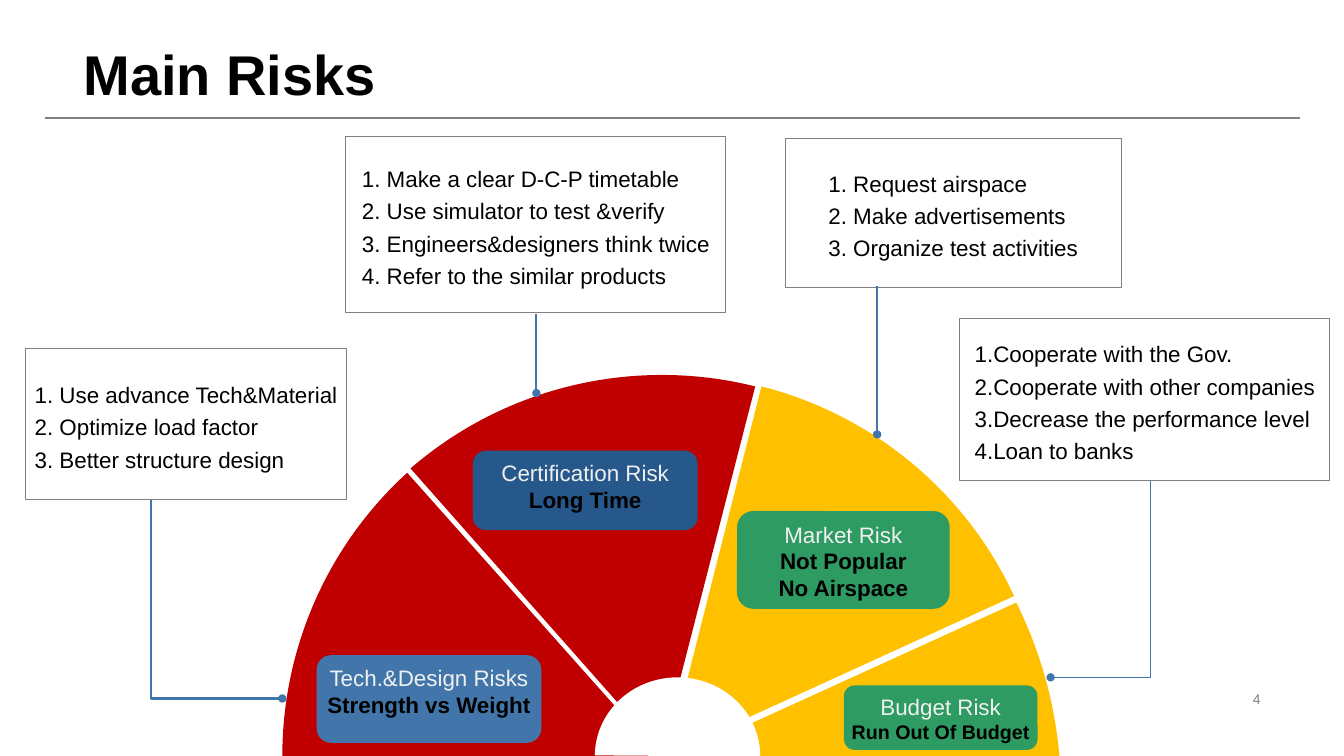
from lxml.etree import SubElement
from pptx import Presentation
from pptx.dml.color import RGBColor
from pptx.enum.shapes import MSO_CONNECTOR, MSO_SHAPE
from pptx.enum.text import MSO_ANCHOR, PP_ALIGN
from pptx.oxml.ns import qn
from pptx.util import Inches, Pt

BLACK = RGBColor(0x00, 0x00, 0x00)
WHITE = RGBColor(0xFF, 0xFF, 0xFF)
PALE = RGBColor(0xF0, 0xF0, 0xF0)
GRAY = RGBColor(0x80, 0x80, 0x80)
RED = RGBColor(0xC0, 0x00, 0x00)
GOLD = RGBColor(0xFF, 0xC0, 0x00)
BLUE = RGBColor(0x42, 0x76, 0xAA)
NAVY = RGBColor(0x26, 0x58, 0x8B)
GREEN = RGBColor(0x2D, 0x9B, 0x62)


def write(para, text, size=16, color=BLACK, bold=False, align=PP_ALIGN.LEFT, space=None):
    run = para.add_run()
    run.text = text
    run.font.name = "Arial"
    run.font.size = Pt(size)
    run.font.color.rgb = color
    run.font.bold = bold
    para.alignment = align
    if space:
        para.line_spacing = space


def lines(frame, count):
    """Give the frame's paragraphs, adding those that are missing."""
    while len(frame.paragraphs) < count:
        frame.add_paragraph()
    return frame.paragraphs


class Board:
    def __init__(self, slide):
        self.shapes = slide.shapes

    def text(self, text, place, anchor, **style):
        box = self.shapes.add_textbox(*map(Inches, place))
        frame = box.text_frame
        frame.word_wrap = True
        frame.vertical_anchor = anchor
        write(frame.paragraphs[0], text, **style)

    def shape(self, kind, place, fill=None, line=None):
        item = self.shapes.add_shape(kind, *map(Inches, place))
        item.shadow.inherit = False
        if fill is None:
            item.fill.background()
        else:
            item.fill.solid()
            item.fill.fore_color.rgb = fill
        if line is None:
            item.line.fill.background()
        else:
            item.line.color.rgb = line
            item.line.width = Pt(0.75)
        return item

    def sector(self, kind, place, fill, start, end, turn=0):
        item = self.shape(kind, place, fill)
        # An adjustment of 0.6 is one degree
        item.adjustments[0] = start * 0.6
        item.adjustments[1] = end * 0.6
        item.rotation = turn

    def steps(self, place, items):
        """Outlined box with a numbered list, centred as a block."""
        frame = self.shape(MSO_SHAPE.RECTANGLE, place, line=GRAY).text_frame
        frame.margin_left = frame.margin_right = 0
        frame.margin_top = frame.margin_bottom = 0
        frame.word_wrap = True
        frame.vertical_anchor = MSO_ANCHOR.MIDDLE
        frame._txBody.bodyPr.set("anchorCtr", "1")
        for para, item in zip(lines(frame, len(items)), items):
            write(para, item, space=1.2)
            props = para._p.get_or_add_pPr()
            props.set("marL", "0")
            props.set("indent", "0")
            SubElement(props, qn("a:buFont"), typeface="+mj-lt")
            SubElement(props, qn("a:buAutoNum"), type="arabicPeriod")

    def label(self, place, fill, name, causes, size=16, inset=0.1):
        frame = self.shape(MSO_SHAPE.ROUNDED_RECTANGLE, place, fill).text_frame
        frame.word_wrap = False
        frame.vertical_anchor = MSO_ANCHOR.TOP
        frame.margin_left = frame.margin_right = Inches(inset)
        paras = lines(frame, 1 + len(causes))
        write(paras[0], name, color=PALE, align=PP_ALIGN.CENTER)
        for para, cause in zip(paras[1:], causes):
            write(para, cause, size=size, bold=True, align=PP_ALIGN.CENTER)

    def link(self, start, end, color=BLUE, width=1.5, dot=True):
        """Line from start to end, with one corner if they are not aligned."""
        bent = start[0] != end[0] and start[1] != end[1]
        kind = MSO_CONNECTOR.ELBOW if bent else MSO_CONNECTOR.STRAIGHT
        item = self.shapes.add_connector(kind, *map(Inches, start + end))
        item.line.color.rgb = color
        item.line.width = Pt(width)
        props = item._element.spPr
        if bent:
            props.find(qn("a:prstGeom")).set("prst", "bentConnector2")
        if dot:
            SubElement(props.find(qn("a:ln")), qn("a:headEnd"), type="oval")
        SubElement(props, qn("a:effectLst"))


def main():
    deck = Presentation()
    deck.slide_width = Inches(13.33)
    deck.slide_height = Inches(7.5)
    board = Board(deck.slides.add_slide(deck.slide_layouts[6]))

    # Title and page number
    board.text("Main Risks", (0.73, 0, 11.87, 1.12), MSO_ANCHOR.BOTTOM,
               size=40, bold=True, space=0.9)
    board.text("4", (9.42, 6.82, 3.18, 0.23), MSO_ANCHOR.MIDDLE,
               size=10, color=GRAY, align=PP_ALIGN.RIGHT)

    # Measures against each risk
    board.steps((0.25, 3.46, 3.19, 1.5), (
        " Use advance Tech&Material", " Optimize load factor",
        " Better structure design"))
    board.steps((3.43, 1.35, 3.77, 1.75), (
        " Make a clear D-C-P timetable", " Use simulator to test &verify",
        " Engineers&designers think twice", " Refer to the similar products"))
    board.steps((7.79, 1.37, 3.33, 1.48), (
        " Request airspace", " Make advertisements", " Organize test activities"))
    board.steps((9.52, 3.16, 3.67, 1.61), (
        "Cooperate with the Gov.", "Cooperate with other companies",
        "Decrease the performance level", "Loan to banks"))

    # Fan of risks
    for place, fill, start, end, turn in (
        ((2.85, 3.72, 7.56, 7.52), GOLD, 260.2, 311.44, 24),
        ((2.7, 3.83, 8.04, 7.36), GOLD, 281.5, 305.92, 54),
        ((2.78, 3.72, 7.56, 7.48), RED, 232.51, 288.4, 356),
        ((2.76, 3.76, 7.56, 7.48), RED, 270, 318.33, 270),
    ):
        board.sector(MSO_SHAPE.ARC, place, fill, start, end, turn)

    # Risk labels
    board.label((3.14, 6.5, 2.23, 0.87), BLUE, "Tech.&Design Risks",
                ["Strength vs Weight"])
    board.label((4.69, 4.47, 2.23, 0.79), NAVY, "Certification Risk", ["Long Time"])
    board.label((7.31, 5.07, 2.11, 0.97), GREEN, "Market Risk",
                ["Not Popular", "No Airspace"])
    board.label((8.37, 6.8, 1.92, 0.64), GREEN, "Budget Risk",
                ["Run Out Of Budget"], size=14, inset=0.05)

    # Hub of the fan
    board.sector(MSO_SHAPE.PIE, (5.9, 6.72, 1.64, 1.56), WHITE, 180.4, 1.4)

    # Links from the fan to the measures
    board.link((2.8, 6.93), (1.5, 4.96))
    board.link((5.32, 3.9), (5.32, 3.12))
    board.link((8.7, 4.31), (8.7, 2.84))
    board.link((10.42, 6.72), (11.41, 4.77), width=1)

    # Rule under the title
    board.link((0.45, 1.17), (12.89, 1.17), color=GRAY, dot=False)

    deck.save("out.pptx")


if __name__ == "__main__":
    main()
